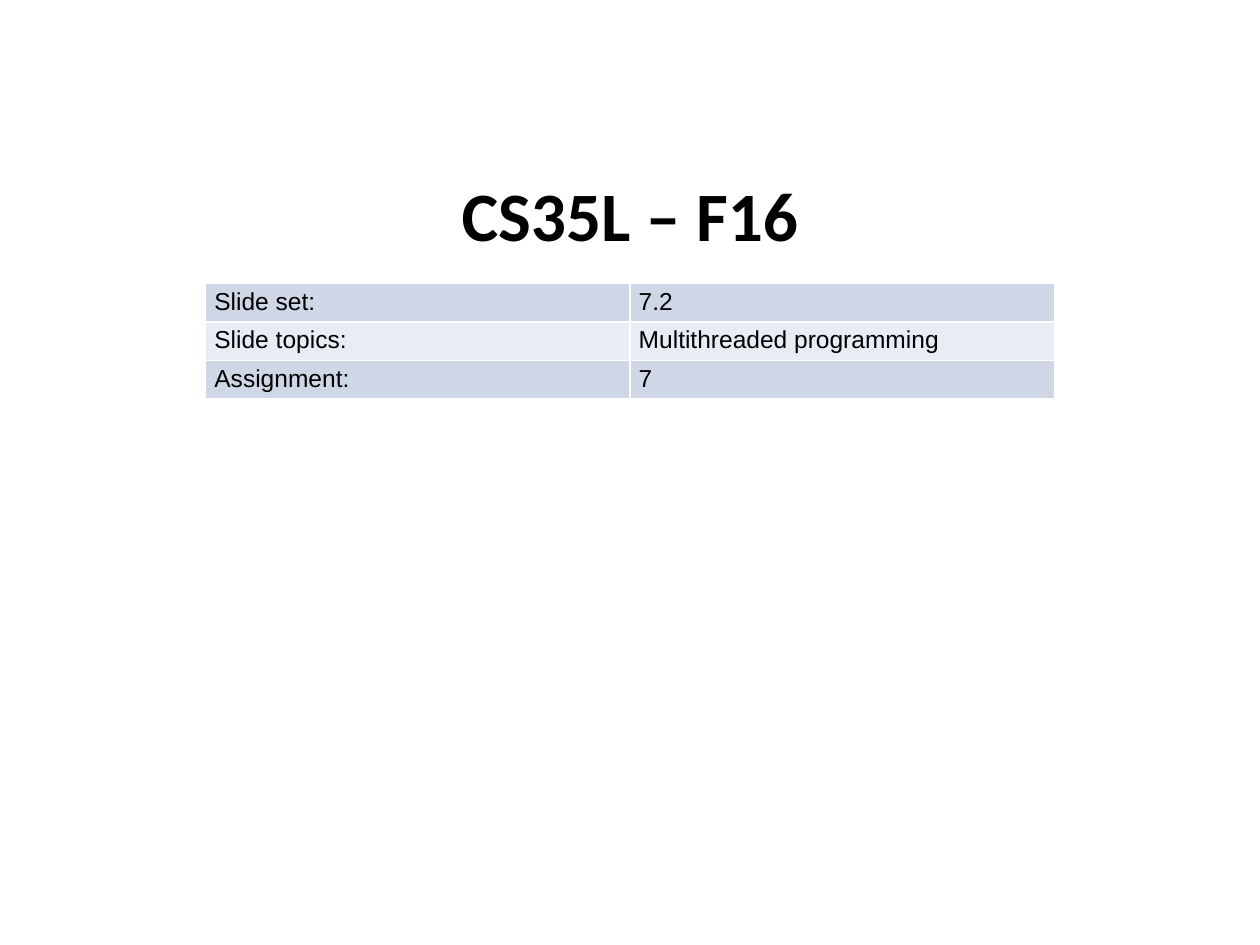
from dataclasses import dataclass

from lxml.etree import SubElement
from pptx import Presentation
from pptx.dml.color import RGBColor as Color
from pptx.enum.text import MSO_ANCHOR as Anchor, MSO_AUTO_SIZE as AutoSize, PP_ALIGN as Align
from pptx.oxml.ns import qn
from pptx.util import Pt


@dataclass(frozen=True)
class Theme:
    """Colours, fonts and type sizes of the slide."""
    text: str = "000000"
    bands: tuple = ("CFD7E7", "E8ECF4")
    border: str = "FFFFFF"
    border_width: float = 1
    title_font: str = "Calibri"
    title_size: float = 39.6
    table_font: str = "Arial"
    table_size: float = 14


@dataclass(frozen=True)
class Box:
    """A rectangle in points."""
    left: float
    top: float
    width: float
    height: float

    def lengths(self):
        """Return the four lengths for python-pptx."""
        return [Pt(value) for value in (self.left, self.top, self.width, self.height)]


THEME = Theme()
DETAILS = [
    ("Slide set:", "7.2"),
    ("Slide topics:", "Multithreaded programming"),
    ("Assignment:", "7"),
]


def style_font(font, name, size, bold=False):
    """Set typeface, size, weight and the text colour."""
    font.name, font.size, font.bold = name, Pt(size), bold
    font.color.rgb = Color.from_string(THEME.text)


def add_borders(cell):
    """Draw the four cell borders, which must precede the fill."""
    properties = cell._tc.get_or_add_tcPr()
    for side in ("a:lnL", "a:lnR", "a:lnT", "a:lnB"):
        line = SubElement(properties, qn(side), w=str(Pt(THEME.border_width)))
        fill = SubElement(line, qn("a:solidFill"))
        SubElement(fill, qn("a:srgbClr"), val=THEME.border)


def place_title(page, box, text):
    """Place the centred course title in its placeholder."""
    title = page.shapes.title
    title.left, title.top, title.width, title.height = box.lengths()
    frame = title.text_frame
    frame.text = text
    frame.word_wrap = True
    frame.auto_size = AutoSize.NONE
    frame.vertical_anchor = Anchor.MIDDLE
    para = frame.paragraphs[0]
    para.alignment = Align.CENTER
    style_font(para.font, THEME.title_font, THEME.title_size, bold=True)


def place_details(page, box, rows):
    """Place the banded table of slide set details."""
    table = page.shapes.add_table(len(rows), len(rows[0]), *box.lengths()).table
    table.first_row = False
    for row_index, row in enumerate(rows):
        table.rows[row_index].height = Pt(box.height / len(rows))
        for column_index, text in enumerate(row):
            cell = table.cell(row_index, column_index)
            cell.text = text
            cell.margin_left = cell.margin_right = Pt(5.04)
            cell.margin_top = cell.margin_bottom = Pt(2.7)
            style_font(cell.text_frame.paragraphs[0].font, THEME.table_font, THEME.table_size)
            add_borders(cell)
            cell.fill.solid()
            cell.fill.fore_color.rgb = Color.from_string(THEME.bands[row_index % 2])


def build():
    """Build and save the deck."""
    deck = Presentation()
    deck.slide_width, deck.slide_height = Pt(720), Pt(540)
    page = deck.slides.add_slide(deck.slide_layouts.get_by_name("Title Only"))
    place_title(page, Box(204, 104, 312, 36), "CS35L – F16")
    place_details(page, Box(117.5, 162, 485, 66), DETAILS)
    deck.save("out.pptx")


build()
